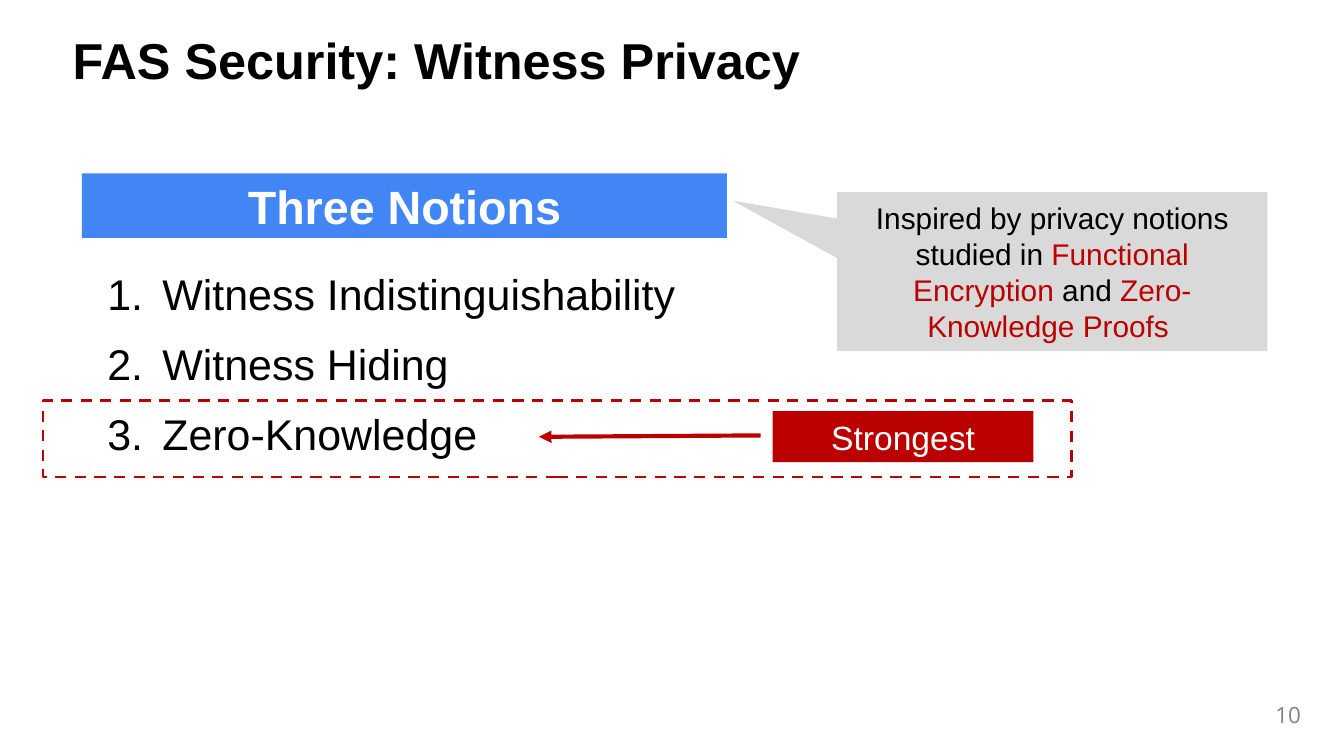
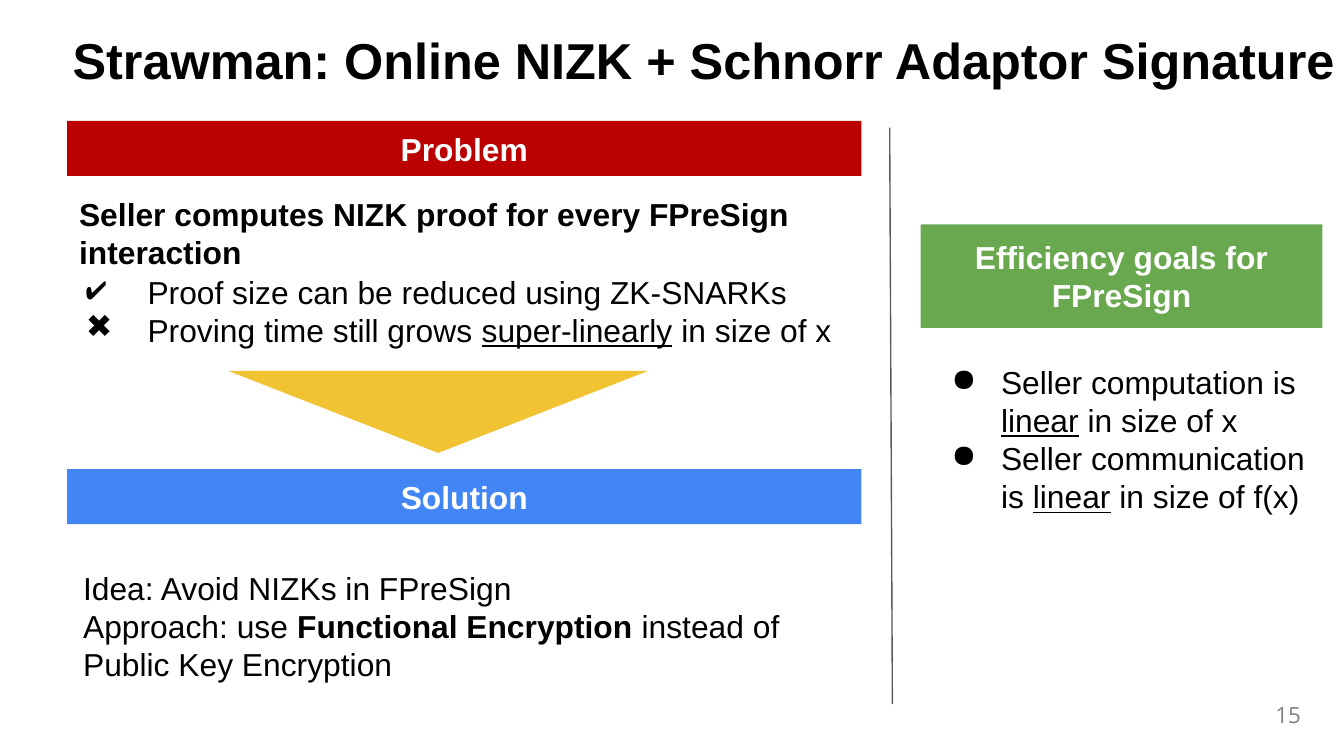
import dataclasses

import lxml.etree
import pptx
import pptx.dml.color
import pptx.enum.dml
import pptx.enum.shapes
import pptx.enum.text
import pptx.oxml.ns
import pptx.util

COLORS = {
    "black": "000000", "white": "FFFFFF", "red": "BB0000", "blue": "4285F4",
    "green": "6AA84F", "yellow": "F1C232", "silver": "D9D9D9",
    "rule": "595959", "number": "828282",
}
CELL = 0.1
COLS, ROWS = 100, 56.25
SHAPE = pptx.enum.shapes.MSO_SHAPE
ALIGN = pptx.enum.text.PP_ALIGN
ANCHOR = pptx.enum.text.MSO_ANCHOR


@dataclasses.dataclass
class Box:
    col: float
    row: float
    cols: float
    rows: float

    def inner(self, col, row, cols, rows):
        return Box(self.col + col, self.row + row, cols, rows)

    def point(self, col, row):
        return cells(self.col + col), cells(self.row + row)

    def place(self):
        return [cells(n) for n in (self.col, self.row, self.cols, self.rows)]


def cells(count):
    return pptx.util.Inches(round(count * CELL, 3))


def rgb(name):
    return pptx.dml.color.RGBColor.from_string(COLORS[name])


def child(parent, tag, **attributes):
    return lxml.etree.SubElement(parent, pptx.oxml.ns.qn(tag), **attributes)


def add_bullet(p, mark, indent, hanging):
    pPr = p._p.get_or_add_pPr()
    pPr.set("marL", str(pptx.util.Inches(indent)))
    pPr.set("indent", str(-pptx.util.Inches(hanging)))
    child(child(pPr, "a:buClr"), "a:srgbClr", val=COLORS["black"])
    if mark == "1.":
        child(pPr, "a:buFont", typeface="Arial")
        child(pPr, "a:buAutoNum", type="arabicPeriod")
    else:
        child(pPr, "a:buChar", char=mark)


def write(shape, lines, size, color="black", bold=False, align=ALIGN.LEFT,
          anchor=ANCHOR.TOP, inset=0.1, font="Arial", emphasis=None,
          before=None, spacing=None, bullets=None, indent=0.5, hanging=0.5):
    tf = shape.text_frame
    tf.word_wrap = True
    tf.auto_size = pptx.enum.text.MSO_AUTO_SIZE.NONE
    tf.vertical_anchor = anchor
    tf.margin_left = tf.margin_right = pptx.util.Inches(inset)
    tf.margin_top = tf.margin_bottom = pptx.util.Inches(inset)
    for i, line in enumerate(lines):
        p = tf.add_paragraph() if i else tf.paragraphs[0]
        p.alignment = align
        if spacing:
            p.line_spacing = spacing
        if before and i:
            p.space_before = pptx.util.Pt(before)
        if bullets:
            add_bullet(p, bullets[i], indent, hanging)
        for j, words in enumerate(line.split("|")):
            r = p.add_run()
            r.text = words
            r.font.name = font
            r.font.size = pptx.util.Pt(size)
            r.font.bold = bold
            r.font.color.rgb = rgb(color)
            if j % 2 and emphasis == "red":
                r.font.color.rgb = rgb("red")
            elif j % 2 and emphasis == "underline":
                r.font.underline = True
            elif j % 2:
                r.font.bold = True


def add_text(s, box, lines, size, **style):
    write(s.shapes.add_textbox(*box.place()), lines, size, **style)


def add_block(s, kind, box, fill=None):
    sp = s.shapes.add_shape(kind, *box.place())
    sp.shadow.inherit = False
    sp.line.fill.background()
    if fill:
        sp.fill.solid()
        sp.fill.fore_color.rgb = rgb(fill)
    else:
        sp.fill.background()
    return sp


def add_banner(s, box, text, fill, size, bold=True, anchor=ANCHOR.MIDDLE):
    sp = add_block(s, SHAPE.RECTANGLE, box, fill)
    write(sp, [text], size, color="white", bold=bold,
          align=ALIGN.CENTER, anchor=anchor)


def add_line(s, start, end, color, width, arrow=False):
    cxn = s.shapes.add_connector(
        pptx.enum.shapes.MSO_CONNECTOR.STRAIGHT, *start, *end)
    cxn.line.color.rgb = rgb(color)
    cxn.line.width = pptx.util.Pt(width)
    spPr = cxn._element.spPr
    if arrow:
        child(spPr.find(pptx.oxml.ns.qn("a:ln")), "a:tailEnd", type="triangle")
    child(spPr, "a:effectLst")


def add_page(prs, title, number):
    s = prs.slides.add_slide(prs.slide_layouts[5])
    page = Box(0, 0, COLS, ROWS)
    sp = s.shapes.title
    sp.left, sp.top, sp.width, sp.height = page.inner(5, 2.3, 95, 4.8).place()
    write(sp, [title], 27, bold=True, anchor=ANCHOR.MIDDLE, inset=0.04,
          spacing=0.9)
    add_text(s, page.inner(94.3, 51.8, 2.9, 2.8), [str(number)], 12,
             color="number", align=ALIGN.RIGHT, anchor=ANCHOR.MIDDLE,
             inset=0.04, font="Open Sans")
    return s


def strongest_notion(s, box):
    frame = add_block(s, SHAPE.RECTANGLE, box)
    frame.line.color.rgb = rgb("red")
    frame.line.width = pptx.util.Pt(1.5)
    frame.line.dash_style = pptx.enum.dml.MSO_LINE.DASH
    add_line(s, box.point(53.4, 2.6), box.point(36.9, 2.7), "red", 2.25,
             arrow=True)
    add_banner(s, box.inner(54.3, 0.8, 19.4, 3.8), "Strongest", "red", 18,
               bold=False)


def notions(s, box):
    add_banner(s, box.inner(0, 0, 48, 4.8), "Three Notions", "blue", 25)
    names = ["Witness Indistinguishability", "Witness Hiding",
             "Zero-Knowledge"]
    add_text(s, box.inner(0, 6, box.cols, 32.5), names, 23, before=10,
             bullets=["1."] * len(names), hanging=0.41)


def inspiration(s, box):
    sp = add_block(s, SHAPE.ROUNDED_RECTANGULAR_CALLOUT, box, "silver")
    for i, value in enumerate((-0.743, -0.446, 0)):
        sp.adjustments[i] = value
    write(sp, ["Inspired by privacy notions studied in |Functional Encryption"
               "| and |Zero-Knowledge Proofs "], 16, align=ALIGN.CENTER,
          anchor=ANCHOR.MIDDLE, emphasis="red")


def problem(s, box):
    add_banner(s, box.inner(0, 0, box.cols, 4.1), "Problem", "red", 17)
    add_text(s, box.inner(-0.1, 4.5, box.cols, 7.7),
             ["Seller computes NIZK proof for every FPreSign interaction"],
             17, bold=True)
    add_text(s, box.inner(0.4, 10.3, box.cols - 0.4, 7.7),
             ["Proof size can be reduced using ZK-SNARKs",
              "Proving time still grows |super-linearly| in size of x"],
             17, emphasis="underline", bullets="✔✖", indent=0.46,
             hanging=0.46)
    arrow = add_block(s, SHAPE.ISOSCELES_TRIANGLE,
                      box.inner(12, 18.6, 31.2, 6.1), "yellow")
    arrow.rotation = 180


def solution(s, box):
    add_banner(s, box.inner(0, 0, box.cols, 4.1), "Solution", "blue", 17)
    add_text(s, box.inner(0.2, 6.4, box.cols, 6.1),
             ["Idea: Avoid NIZKs in FPreSign",
              "Approach: use |Functional Encryption| instead of "
              "Public Key Encryption"], 17, emphasis="bold")


def efficiency_goals(s, box):
    add_banner(s, box.inner(0, 0, box.cols, 7.7),
               "Efficiency goals for FPreSign", "green", 17,
               anchor=ANCHOR.TOP)
    add_text(s, box.inner(0, 9.3, box.cols, 13.5),
             ["Seller computation is |linear| in size of x",
              "Seller communication is |linear| in size of f(x)"],
             17, emphasis="underline", bullets="●●", hanging=0.37)


def privacy_slide(prs):
    s = add_page(prs, "FAS Security: Witness Privacy", 10)
    page = Box(0, 0, COLS, ROWS)
    strongest_notion(s, page.inner(3.2, 29.8, 76.5, 5.7))
    notions(s, page.inner(6.1, 12.9, 79.4, 38.5))
    inspiration(s, page.inner(62.3, 14.3, 32, 11.8))


def strawman_slide(prs):
    s = add_page(prs, "Strawman: Online NIZK + Schnorr Adaptor Signature", 15)
    page = Box(0, 0, COLS, ROWS)
    problem(s, page.inner(5, 9, 59.1, 24.7))
    solution(s, page.inner(5, 34.9, 59.1, 12.5))
    add_line(s, page.point(66.2, 9.5), page.point(66.4, 52.4), "rule", 0.75)
    efficiency_goals(s, page.inner(68.5, 16.7, 29.9, 22.8))


def main():
    prs = pptx.Presentation()
    prs.slide_width, prs.slide_height = cells(COLS), cells(ROWS)
    privacy_slide(prs)
    strawman_slide(prs)
    prs.save("out.pptx")


if __name__ == "__main__":
    main()
